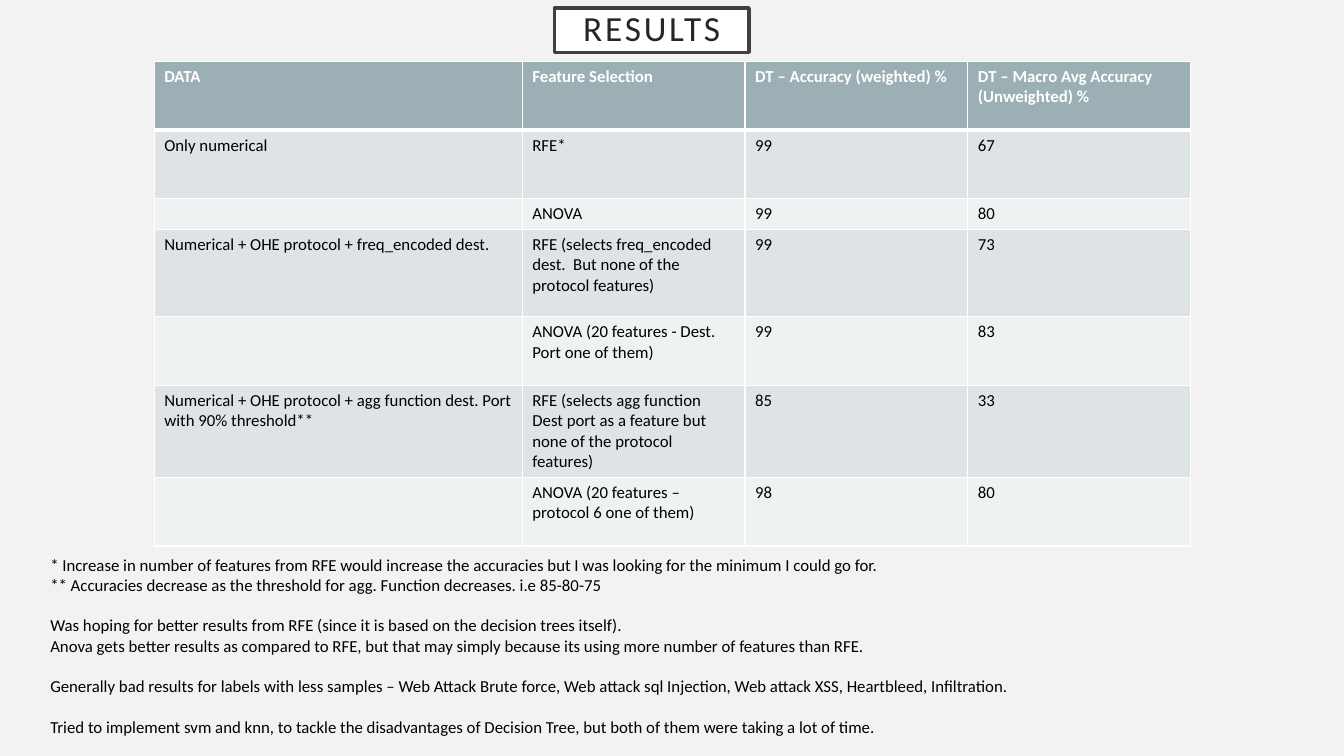
from dataclasses import astuple, dataclass

from lxml.etree import SubElement
from pptx import Presentation
from pptx.dml.color import RGBColor
from pptx.enum.shapes import MSO_SHAPE
from pptx.enum.text import MSO_ANCHOR, PP_ALIGN
from pptx.oxml.ns import qn
from pptx.slide import Slide
from pptx.table import _Cell
from pptx.text.text import _Paragraph
from pptx.util import Inches, Pt

COLORS = {
    "background": "F2F2F2", "white": "FFFFFF", "frame": "404040", "title": "262626",
    "text": "000000", "header": "9BAFB5", "band": "DEE3E5", "light": "EFF2F3",
}
FONT = "Calibri"
BODY_SIZE = 12
NOTE_GAP = 14.6
COLUMN_WIDTHS = (3.65, 2.21, 2.21, 2.21)


@dataclass
class ResultRow:
    data: str
    selection: str
    weighted: str
    macro: str


@dataclass
class Note:
    text: str
    starts_group: bool = False


ROWS = [
    ResultRow("DATA", "Feature Selection", "DT – Accuracy (weighted) %",
              "DT – Macro Avg Accuracy (Unweighted) %"),
    ResultRow("Only numerical", "RFE*", "99", "67"),
    ResultRow("", "ANOVA", "99", "80"),
    ResultRow("Numerical + OHE protocol + freq_encoded dest.",
              "RFE (selects freq_encoded dest.  But none of the protocol features)", "99", "73"),
    ResultRow("", "ANOVA (20 features - Dest. Port one of them)", "99", "83"),
    ResultRow("Numerical + OHE protocol + agg function dest. Port with 90% threshold**",
              "RFE (selects agg function Dest port as a feature but none of the protocol features)",
              "85", "33"),
    ResultRow("", "ANOVA (20 features – protocol 6 one of them)", "98", "80"),
]
ROW_HEIGHTS = (0.68, 0.68, 0.29, 0.87, 0.68, 0.87, 0.68)

NOTES = [
    Note("* Increase in number of features from RFE would increase the accuracies "
         "but I was looking for the minimum I could go for."),
    Note("** Accuracies decrease as the threshold for agg. Function decreases. i.e 85-80-75"),
    Note("Was hoping for better results from RFE (since it is based on the decision trees itself).",
         True),
    Note("Anova gets better results as compared to RFE, but that may simply because "
         "its using more number of features than RFE."),
    Note("Generally bad results for labels with less samples – Web Attack Brute force, "
         "Web attack sql Injection, Web attack XSS, Heartbleed, Infiltration.", True),
    Note("Tried to implement svm and knn, to tackle the disadvantages of Decision Tree, "
         "but both of them were taking a lot of time.", True),
]


def rgb(name: str) -> RGBColor:
    return RGBColor.from_string(COLORS[name])


def style_runs(p: _Paragraph, size: float, color: str, bold: bool = False) -> None:
    for r in p.runs:
        r.font.name = FONT
        r.font.size = Pt(size)
        r.font.bold = bold
        r.font.color.rgb = rgb(color)


def add_border(cell: _Cell, side: str, width: float) -> None:
    """Draw one white cell edge; side is L, R, T or B."""
    ln = SubElement(cell._tc.get_or_add_tcPr(), qn(f"a:ln{side}"), w=str(Pt(width)))
    SubElement(SubElement(ln, qn("a:solidFill")), qn("a:srgbClr"), val=COLORS["white"])


def fill_cell(cell: _Cell, text: str, row: int) -> None:
    header = row == 0
    p = cell.text_frame.paragraphs[0]
    if text:
        p.text = text
        style_runs(p, BODY_SIZE, "white" if header else "text", header)
    else:
        SubElement(p._p, qn("a:endParaRPr"), sz=str(BODY_SIZE * 100))
    for side in "LRTB":
        under_header = (row, side) in ((0, "B"), (1, "T"))
        add_border(cell, side, 3 if under_header else 1)
    cell.fill.solid()
    cell.fill.fore_color.rgb = rgb("header" if header else "band" if row % 2 else "light")


def add_title(s: Slide) -> None:
    sp = s.shapes.add_shape(MSO_SHAPE.RECTANGLE, Inches(5.5), Inches(0.08),
                            Inches(1.93), Inches(0.44))
    sp.shadow.inherit = False
    sp.fill.solid()
    sp.fill.fore_color.rgb = rgb("white")
    sp.line.color.rgb = rgb("frame")
    sp.line.width = Pt(2.5)
    tf = sp.text_frame
    tf.word_wrap = True
    tf.vertical_anchor = MSO_ANCHOR.MIDDLE
    tf.margin_left = tf.margin_right = Inches(0.2)
    tf.margin_top = tf.margin_bottom = 0
    p = tf.paragraphs[0]
    p.text = "RESULTS"
    p.alignment = PP_ALIGN.CENTER
    p.line_spacing = 0.9
    style_runs(p, 25.2, "title")
    p.runs[0].font._element.set("spc", "200")


def add_results_table(s: Slide) -> None:
    table = s.shapes.add_table(len(ROWS), len(COLUMN_WIDTHS), Inches(1.53), Inches(0.61),
                               Inches(sum(COLUMN_WIDTHS)), Inches(sum(ROW_HEIGHTS))).table
    for column, width in zip(table.columns, COLUMN_WIDTHS):
        column.width = Inches(width)
    for i, (row, height) in enumerate(zip(ROWS, ROW_HEIGHTS)):
        table.rows[i].height = Inches(height)
        for j, text in enumerate(astuple(row)):
            fill_cell(table.cell(i, j), text, i)


def add_notes(s: Slide) -> None:
    tf = s.shapes.add_textbox(Inches(0.4), Inches(5.45), Inches(12.21), Inches(2.12)).text_frame
    tf.word_wrap = True
    for i, note in enumerate(NOTES):
        p = tf.add_paragraph() if i else tf.paragraphs[0]
        p.text = note.text
        if note.starts_group:
            p.space_before = Pt(NOTE_GAP)
        style_runs(p, BODY_SIZE, "text")


def main() -> None:
    prs = Presentation()
    prs.slide_width, prs.slide_height = Inches(13.33), Inches(7.5)
    s = prs.slides.add_slide(prs.slide_layouts[6])
    s.background.fill.solid()
    s.background.fill.fore_color.rgb = rgb("background")
    add_title(s)
    add_results_table(s)
    add_notes(s)
    prs.save("out.pptx")


if __name__ == "__main__":
    main()
